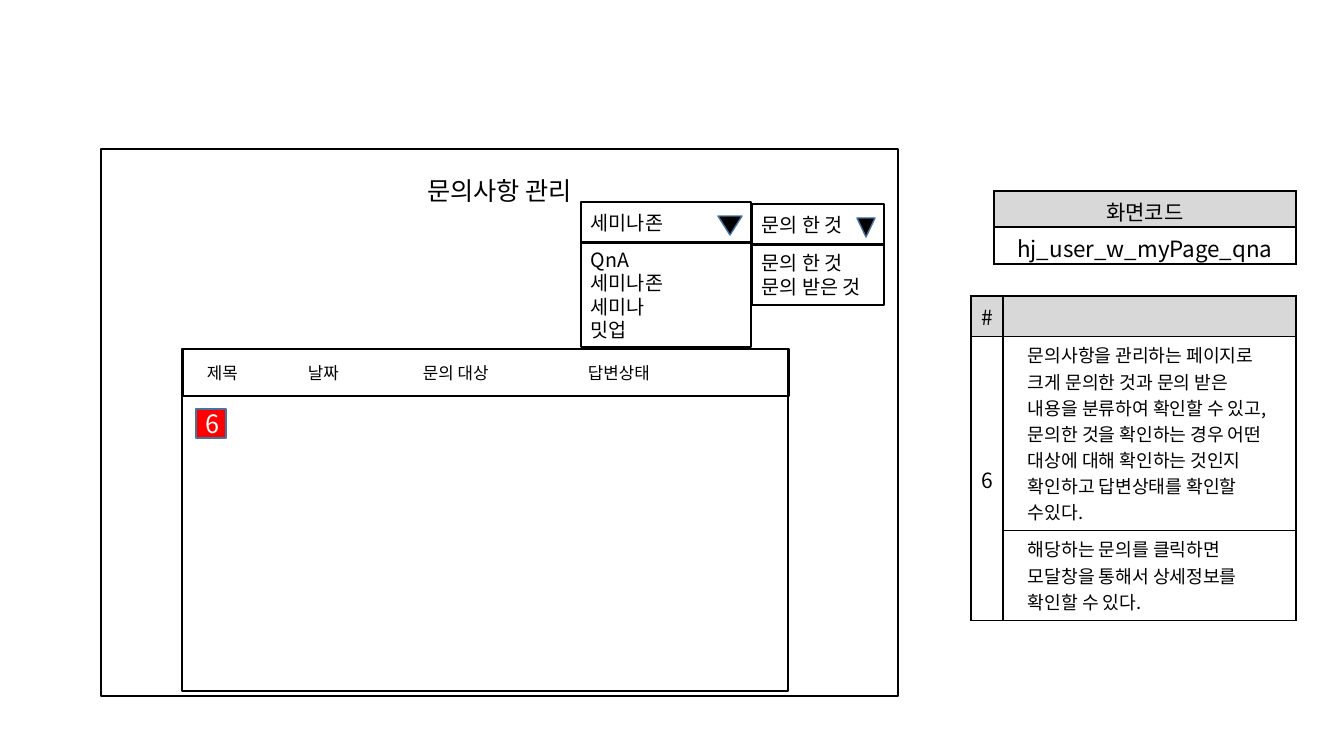
from lxml import etree
from pptx import Presentation
from pptx.dml.color import RGBColor
from pptx.enum.shapes import MSO_SHAPE
from pptx.enum.text import MSO_ANCHOR, PP_ALIGN
from pptx.oxml.ns import qn
from pptx.util import Pt

PX = 914400 / 100.8
FONT = "Noto Sans CJK KR"
BLACK = RGBColor(0, 0, 0)
WHITE = RGBColor(255, 255, 255)
GRAY = RGBColor(0xD8, 0xD8, 0xD8)
RED = RGBColor(255, 0, 0)
BLUE = RGBColor(0x43, 0x73, 0x9E)
LEFT, CENTER = PP_ALIGN.LEFT, PP_ALIGN.CENTER
MIDDLE, TOP = MSO_ANCHOR.MIDDLE, MSO_ANCHOR.TOP
RECTANGLE, TRIANGLE = MSO_SHAPE.RECTANGLE, MSO_SHAPE.ISOSCELES_TRIANGLE


def px(*lengths):
    return [round(length * PX) for length in lengths]


def write(frame, text, size, color=BLACK, align=LEFT):
    """Fill a text frame, one paragraph for each line of the text."""
    frame.text = text
    frame.word_wrap = True
    for paragraph in frame.paragraphs:
        paragraph.alignment = align
        font = paragraph.font
        font.name, font.size = FONT, Pt(size)
        font.color.rgb = color
        east_asian = etree.Element(qn("a:ea"), typeface=FONT)
        font._element.find(qn("a:latin")).addnext(east_asian)


def add_box(slide, left, top, width, height, kind=RECTANGLE, fill=None, line=BLACK):
    shape = slide.shapes.add_shape(kind, *px(left, top, width, height))
    shape.shadow.inherit = False
    if fill is None:
        shape.fill.background()
    else:
        shape.fill.solid()
        shape.fill.fore_color.rgb = fill
    shape.line.color.rgb = line
    shape.line.width = Pt(1)
    return shape


def add_dropdown(slide, left, top, width, list_height, arrow_width, choice, options):
    head_height, arrow_height = 41, 19
    head = add_box(slide, left, top, width, head_height)
    write(head.text_frame, choice, 14)
    arrow = add_box(slide, left + width - arrow_width - 9, top + 14,
                    arrow_width, arrow_height, TRIANGLE, BLACK, BLUE)
    arrow.rotation = 180
    option_list = add_box(slide, left, top + head_height - 1, width, list_height)
    write(option_list.text_frame, "\n".join(options), 14)


def add_question_list(slide, left, top, width, height):
    add_box(slide, left, top, width, height)
    header = add_box(slide, left + 1, top, width, 47)
    frame = header.text_frame
    write(frame, "제목\t날짜\t문의 대상\t답변상태", 12)
    frame.margin_left = px(24)[0]
    tab_list = etree.Element(qn("a:tabLst"))
    for position in px(101, 216, 381):
        etree.SubElement(tab_list, qn("a:tab"), pos=str(position), algn="l")
    frame.paragraphs[0].font._element.addprevious(tab_list)
    marker = add_box(slide, left + 14, top + 60, 30, 29, fill=RED, line=BLUE)
    write(marker.text_frame, "6", 18, WHITE, CENTER)


def add_page(slide, left, top, width, height):
    add_box(slide, left, top, width, height)
    title = slide.shapes.add_textbox(*px(left + 267, top + 21, 263, 40))
    write(title.text_frame, "문의사항 관리", 18, align=CENTER)
    add_dropdown(slide, left + 480, top + 53, 170, 105, 24, "세미나존",
                 ["QnA", "세미나존", "세미나", "밋업"])
    add_question_list(slide, left + 81, top + 200, 606, 342)
    add_dropdown(slide, left + 651, top + 55, 132, 61, 18, "문의 한 것",
                 ["문의 한 것", "문의 받은 것"])


def add_grid(slide, left, top, columns, rows):
    """Add a plain table with black borders and a gray first row."""
    frame = slide.shapes.add_table(len(rows), len(columns),
                                   *px(left, top, sum(columns), sum(rows)))
    table = frame.table
    table.first_row = table.horz_banding = False
    for column, width in zip(table.columns, px(*columns)):
        column.width = width
    for index, (row, height) in enumerate(zip(table.rows, px(*rows))):
        row.height = height
        for cell in row.cells:
            properties = cell._tc.get_or_add_tcPr()
            for side in ("lnL", "lnR", "lnT", "lnB"):
                border = etree.SubElement(properties, qn(f"a:{side}"), w=str(Pt(1)))
                fill = etree.SubElement(border, qn("a:solidFill"))
                etree.SubElement(fill, qn("a:srgbClr"), val=str(BLACK))
            cell.fill.solid()
            cell.fill.fore_color.rgb = WHITE if index else GRAY
    return table


def write_cell(cell, text, size, align=CENTER, anchor=MIDDLE, right=10, bottom=5):
    cell.vertical_anchor = anchor
    cell.margin_left, cell.margin_right = px(10, right)
    cell.margin_top, cell.margin_bottom = px(5, bottom)
    write(cell.text_frame, text, size, align=align)


def add_screen_code(slide, left, top):
    table = add_grid(slide, left, top, [302], [36, 37])
    for row, (text, size) in enumerate([("화면코드", 15), ("hj_user_w_myPage_qna", 16)]):
        write_cell(table.cell(row, 0), text, size, bottom=0)


def add_description(slide, left, top):
    table = add_grid(slide, left, top, [32, 293], [40, 194, 90])
    table.cell(1, 0).merge(table.cell(2, 0))
    for row, text in enumerate(["#", "6"]):
        write_cell(table.cell(row, 0), text, 15)
    notes = [
        "문의사항을 관리하는 페이지로 크게 문의한 것과 문의 받은 내용을 분류하여 "
        "확인할 수 있고, 문의한 것을 확인하는 경우 어떤 대상에 대해 확인하는 것인지 "
        "확인하고 답변상태를 확인할 수있다.",
        "해당하는 문의를 클릭하면 모달창을 통해서 상세정보를 확인할 수 있다.",
    ]
    for row, text in enumerate(notes, 1):
        cell = table.cell(row, 1)
        write_cell(cell, text, 13, LEFT, TOP, right=17)
        properties = cell.text_frame.paragraphs[0].font._element.getparent()
        properties.set("marL", str(px(15)[0]))


def main():
    presentation = Presentation()
    presentation.slide_width, presentation.slide_height = px(1344, 756)
    slide = presentation.slides.add_slide(presentation.slide_layouts[6])
    add_description(slide, 971, 296)
    add_page(slide, 101, 149, 797, 547)
    add_screen_code(slide, 994, 191)
    presentation.save("out.pptx")


if __name__ == "__main__":
    main()
